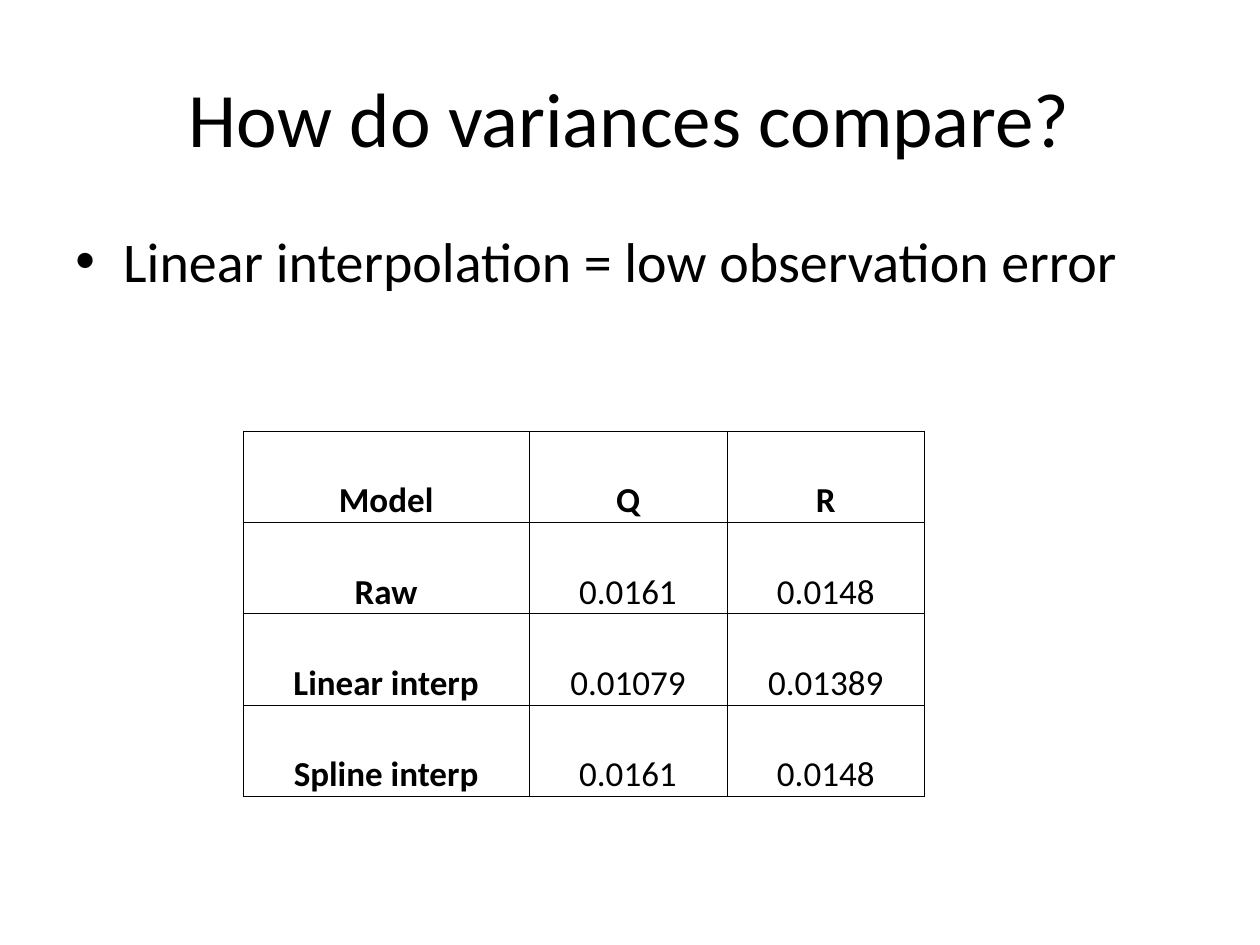
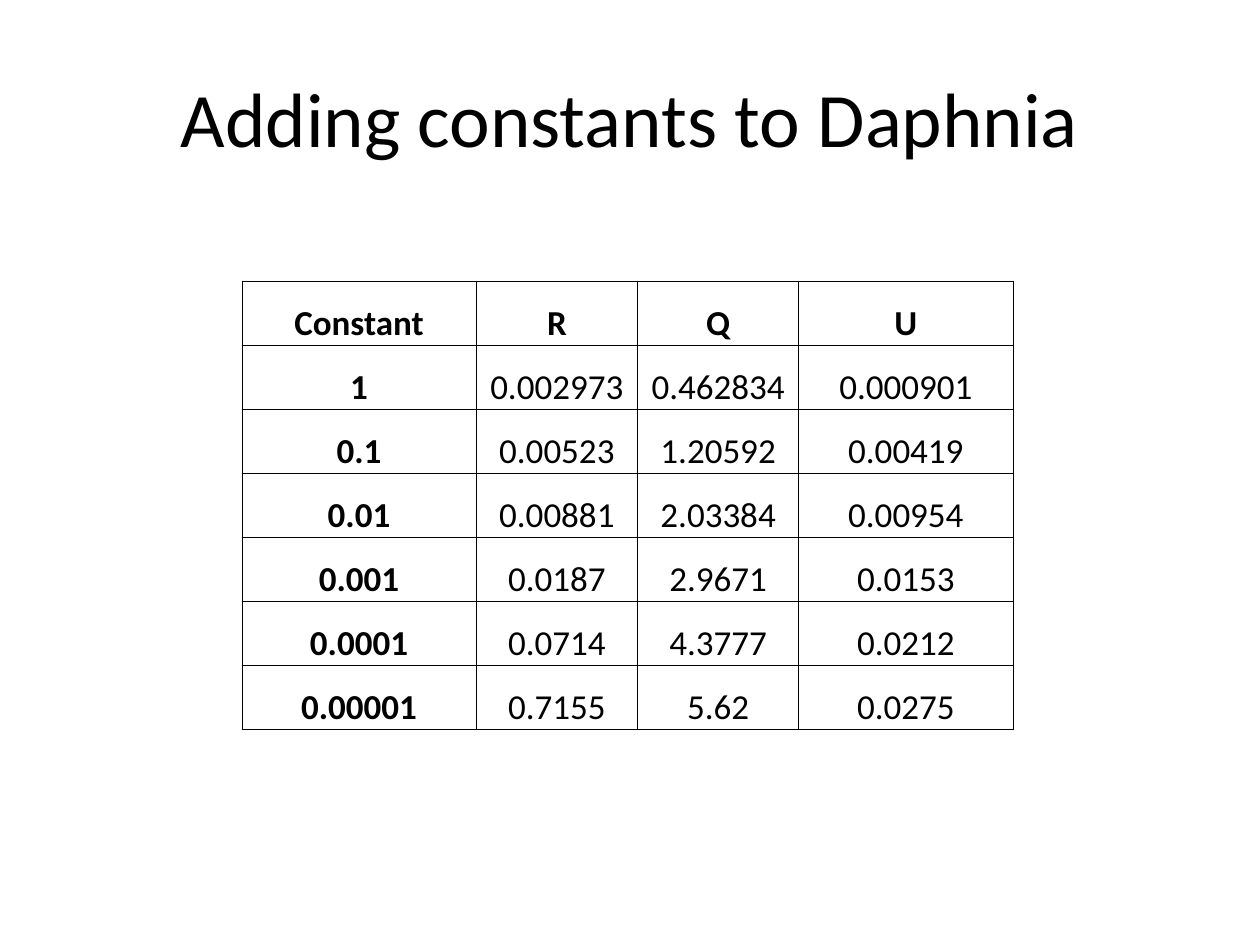
from dataclasses import dataclass

from lxml import etree
from pptx import Presentation
from pptx.dml.color import RGBColor
from pptx.enum.text import MSO_ANCHOR, PP_ALIGN
from pptx.oxml.ns import qn
from pptx.util import Emu, Pt

PX = 9144
CENTER, LEFT = PP_ALIGN.CENTER, PP_ALIGN.LEFT
TOP, MIDDLE, BOTTOM = MSO_ANCHOR.TOP, MSO_ANCHOR.MIDDLE, MSO_ANCHOR.BOTTOM


@dataclass(frozen=True)
class Theme:
    font: str = "Calibri"
    ink: str = "000000"
    title_size: int = 44
    body_size: int = 32
    cell_size: int = 20
    border_pt: float = 0.5


@dataclass(frozen=True)
class Box:
    left: int
    top: int
    width: int
    height: int

    def emu(self) -> list[Emu]:
        return [px(n) for n in (self.left, self.top, self.width, self.height)]


@dataclass(frozen=True)
class Grid:
    left: int
    top: int
    height: int
    columns: tuple[int, ...]
    rows: tuple[tuple[str, ...], ...]


@dataclass(frozen=True)
class Page:
    title: str
    grid: Grid
    bullet: str = ""


THEME = Theme()
TITLE_BOX = Box(50, 30, 900, 125)
BODY_BOX = Box(50, 175, 900, 495)
BULLET_INDENT = 38

PAGES = (
    Page(
        "How do variances compare?",
        Grid(193, 342, 290, (227, 157, 157), (
            ("Model", "Q", "R"),
            ("Raw", "0.0161", "0.0148"),
            ("Linear interp", "0.01079", "0.01389"),
            ("Spline interp", "0.0161", "0.0148"),
        )),
        "Linear interpolation = low observation error",
    ),
    Page(
        "Adding constants to Daphnia",
        Grid(192, 223, 356, (186, 128, 128, 170), (
            ("Constant", "R", "Q", "U"),
            ("1", "0.002973", "0.462834", "0.000901"),
            ("0.1", "0.00523", "1.20592", "0.00419"),
            ("0.01", "0.00881", "2.03384", "0.00954"),
            ("0.001", "0.0187", "2.9671", "0.0153"),
            ("0.0001", "0.0714", "4.3777", "0.0212"),
            ("0.00001", "0.7155", "5.62", "0.0275"),
        )),
    ),
)


def px(n: int) -> Emu:
    return Emu(n * PX)


def apply(target, formats: dict) -> None:
    for name, value in formats.items():
        setattr(target, name, value)


def write(tf, text: str, size: int, align, bold: bool = False):
    p = tf.paragraphs[0]
    p.alignment = align
    r = p.add_run()
    r.text = text
    apply(r.font, {"name": THEME.font, "size": Pt(size), "bold": bold})
    r.font.color.rgb = RGBColor.from_string(THEME.ink)
    return p


def add_text(s, box: Box, text: str, size: int, align, anchor):
    tf = s.shapes.add_textbox(*box.emu()).text_frame
    apply(tf, {"word_wrap": True, "vertical_anchor": anchor})
    return write(tf, text, size, align)


def add_bullet(s, text: str) -> None:
    p = add_text(s, BODY_BOX, text, THEME.body_size, LEFT, TOP)
    pPr = p._p.get_or_add_pPr()
    pPr.set("marL", str(px(BULLET_INDENT)))
    pPr.set("indent", str(px(-BULLET_INDENT)))
    etree.SubElement(pPr, qn("a:buFont"), typeface="Arial")
    etree.SubElement(pPr, qn("a:buChar"), char="•")


def add_borders(cell) -> None:
    tcPr = cell._tc.get_or_add_tcPr()
    for side in "LRTB":
        ln = etree.SubElement(tcPr, qn(f"a:ln{side}"), w=str(Pt(THEME.border_pt)))
        fill = etree.SubElement(ln, qn("a:solidFill"))
        etree.SubElement(fill, qn("a:srgbClr"), val=THEME.ink)


def add_grid(s, grid: Grid) -> None:
    box = Box(grid.left, grid.top, sum(grid.columns), grid.height)
    table = s.shapes.add_table(len(grid.rows), len(grid.columns), *box.emu()).table
    apply(table, {"first_row": False, "horz_banding": False})
    for column, width in zip(table.columns, grid.columns):
        column.width = px(width)
    for i, values in enumerate(grid.rows):
        table.rows[i].height = Emu(px(grid.height) // len(grid.rows))
        for j, value in enumerate(values):
            cell = table.cell(i, j)
            apply(cell, {
                "margin_left": px(1), "margin_right": px(1),
                "margin_top": px(1), "margin_bottom": px(0),
                "vertical_anchor": BOTTOM,
            })
            add_borders(cell)
            cell.fill.background()
            write(cell.text_frame, value, THEME.cell_size, CENTER, i == 0 or j == 0)


def add_page(prs, page: Page) -> None:
    s = prs.slides.add_slide(prs.slide_layouts[6])
    add_text(s, TITLE_BOX, page.title, THEME.title_size, CENTER, MIDDLE)
    if page.bullet:
        add_bullet(s, page.bullet)
    add_grid(s, page.grid)


def main() -> None:
    prs = Presentation()
    apply(prs, {"slide_width": px(1000), "slide_height": px(750)})
    for page in PAGES:
        add_page(prs, page)
    prs.save("out.pptx")


if __name__ == "__main__":
    main()
